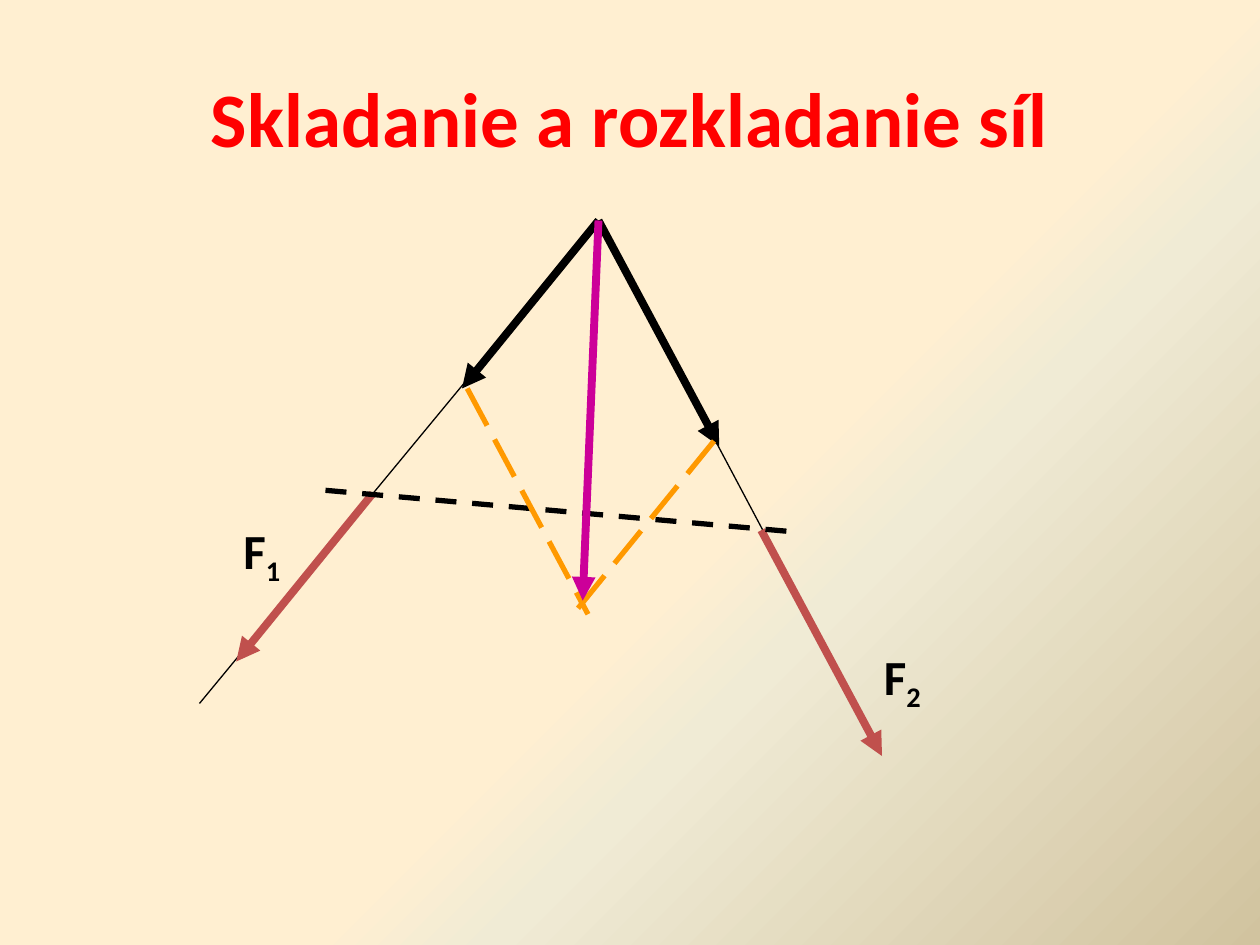
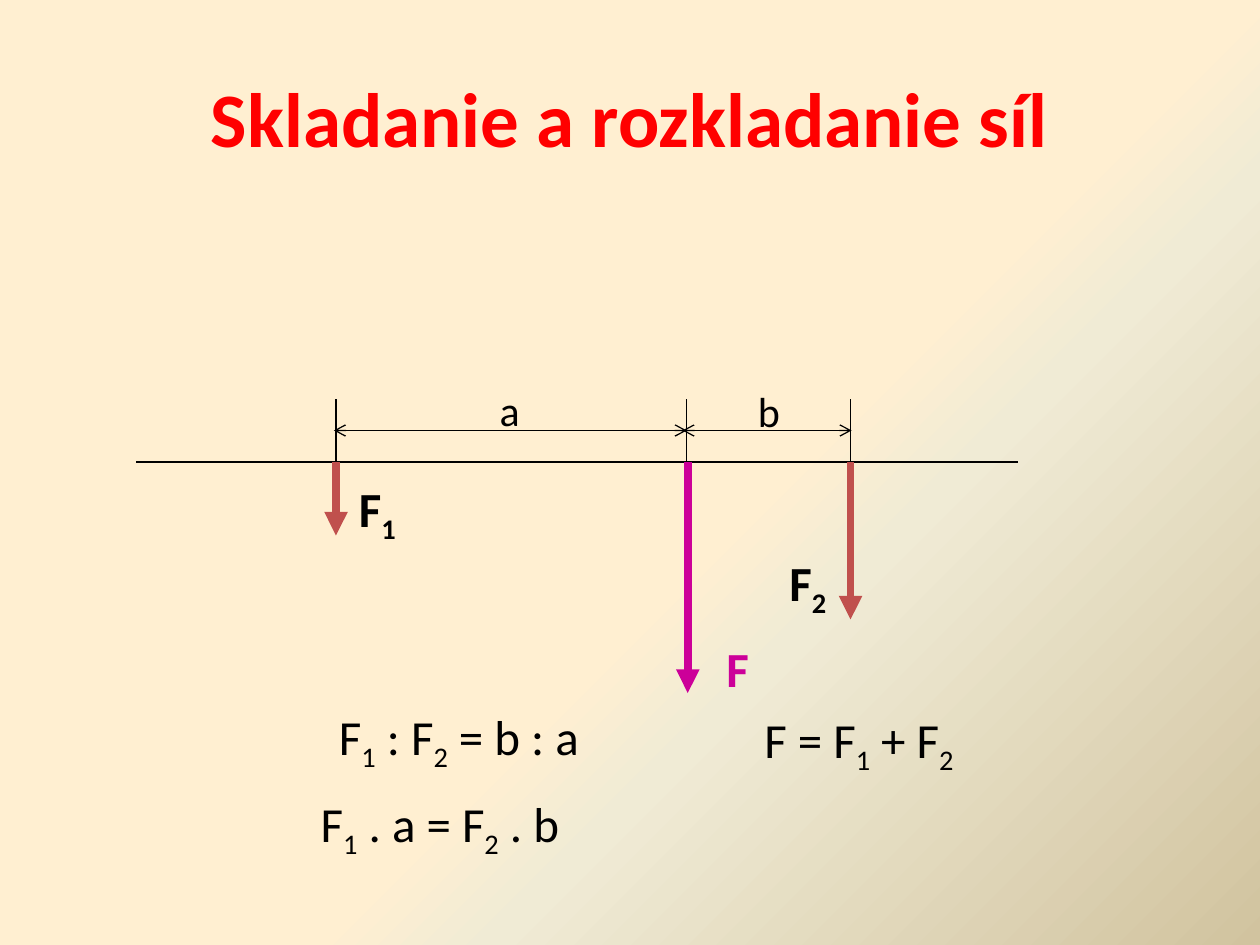
"""Builds two slides on adding and resolving forces."""
from copy import deepcopy
from lxml.etree import SubElement
from pptx import Presentation
from pptx.dml.color import RGBColor as RGB
from pptx.enum.dml import MSO_LINE as DASH
from pptx.enum.shapes import MSO_CONNECTOR as CONN
from pptx.enum.text import MSO_ANCHOR as ANCHOR, MSO_AUTO_SIZE as AUTO, PP_ALIGN as ALIGN
from pptx.oxml.ns import qn
from pptx.util import Inches, Pt

COLORS = {"title": "FF0000", "ink": "000000", "force": "C0504D",
          "result": "CC0099", "helper": "FF9900"}
BACKDROP = [(0.57, "FFEFD1"), (0.65, "F0EBD5"), (1, "D1C39F")]
TITLE = "Skladanie a rozkladanie síl"
FONT = "Calibri"
COLS, ROWS = 120, 90

prs = Presentation()
prs.slide_width, prs.slide_height = Inches(10), Inches(7.5)
cell = prs.slide_width // COLS


def add_line(s, start, end, color="ink", width=0.75, head=None, tail=None, dash=None):
    ends = [round(v * cell) for v in (*start, *end)]
    sp = s.shapes.add_connector(CONN.STRAIGHT, *ends)
    sp.line.color.rgb = RGB.from_string(COLORS[color])
    sp.line.width = Pt(width)
    if dash:
        sp.line.dash_style = dash
    ln = sp.line._get_or_add_ln()
    for tag, kind in (("a:headEnd", head), ("a:tailEnd", tail)):
        if kind:
            SubElement(ln, qn(tag), type=kind)
    SubElement(sp._element.spPr, qn("a:effectLst"))


def add_text(s, text, box, size=28, color="ink", bold=False, align=ALIGN.LEFT):
    sp = s.shapes.add_textbox(*[round(v * cell) for v in box])
    tf = sp.text_frame
    tf.word_wrap = True
    tf.auto_size = AUTO.SHAPE_TO_FIT_TEXT
    p = tf.paragraphs[0]
    p.alignment = align
    first, *others = text.split("_")
    parts = [(first, False)]
    for part in others:
        parts += [(part[0], True), (part[1:], False)]
    for part, sub in parts:
        if part:
            r = p.add_run()
            r.text = part
            r.font.name, r.font.size, r.font.bold = FONT, Pt(size), bold
            r.font.color.rgb = RGB.from_string(COLORS[color])
            if sub:
                r._r.get_or_add_rPr().set("baseline", "-25000")
    return tf


master = prs.slide_master
fill = master.background.fill
fill.gradient()
fill.gradient_angle = 315
stops = master._element.find(".//" + qn("a:gsLst"))
stops.append(deepcopy(stops[0]))
for stop, (position, color) in zip(fill.gradient_stops, BACKDROP):
    stop.position = position
    stop.color.rgb = RGB.from_string(color)

slides = []
for _ in range(2):
    s = prs.slides.add_slide(prs.slide_layouts[6])
    tf = add_text(s, TITLE, (6, 3.6, COLS - 12, 15), 44, "title", True, ALIGN.CENTER)
    tf.auto_size = AUTO.NONE
    tf.vertical_anchor = ANCHOR.MIDDLE
    slides.append(s)
angled, parallel = slides

apex = (57, 21)
f1, f2 = (-13, 16), (11.5, 21.5)
for end in ((19, 67), (83, 70)):
    add_line(angled, apex, end)
for (x, y), (dx, dy), color in ((apex, f1, "ink"), (apex, f2, "ink"),
                                ((35.5, 47), f1, "force"), ((72.5, 50.5), f2, "force")):
    add_line(angled, (x, y), (x + dx, y + dy), color, 4.5, tail="triangle")
add_line(angled, (31, 46.7), (75, 50.6), width=3, dash=DASH.DASH)
for (x, y), (dx, dy) in (((44.5, 37), f2), ((68, 42), f1)):
    add_line(angled, (x, y), (x + dx, y + dy), "helper", 3, dash=DASH.LONG_DASH)
add_line(angled, apex, (55.5, 57.2), "result", 4.5, tail="triangle")
for text, x, y in (("F_1", 22, 49), ("F_2", 83, 61)):
    add_text(angled, text, (x, y, 13, 6.84), bold=True)

beam, tick_top, span_row = 44, 38, 41
add_line(parallel, (13, beam), (97, beam))
for x, bottom, color in ((65.5, 66, "result"), (32, 51, "force"), (81, 59, "force")):
    add_line(parallel, (x, beam), (x, bottom), color, 4.5, tail="triangle")
for text, x, y, w, color in (("F_1", 33, 45, 13, "ink"), ("F_2", 74, 52, 12, "ink"),
                             ("F", 68, 60.2, 5, "result")):
    add_text(parallel, text, (x, y, w, 6.84), color=color, bold=True)
for text, x, y, w in (("F = F_1 + F_2", 68.3, 67, 27), ("F_1 : F_2 = b : a", 24.2, 66.7, 39),
                      ("F_1 . a = F_2 . b", 25.4, 75, 39)):
    tf = add_text(parallel, text, (x, y, w, 6.84), align=ALIGN.CENTER)
tf.margin_right = Inches(0.6)
for x in (32, 65.4, 81):
    add_line(parallel, (x, beam), (x, tick_top))
for text, left, right, x, y in (("b", 65, 81.1, 71, 36.1), ("a", 31.8, 65.4, 46.4, 36)):
    add_line(parallel, (left, span_row), (right, span_row), head="arrow", tail="arrow")
    add_text(parallel, text, (x, y, 7, 6), 24)

prs.save("out.pptx")
